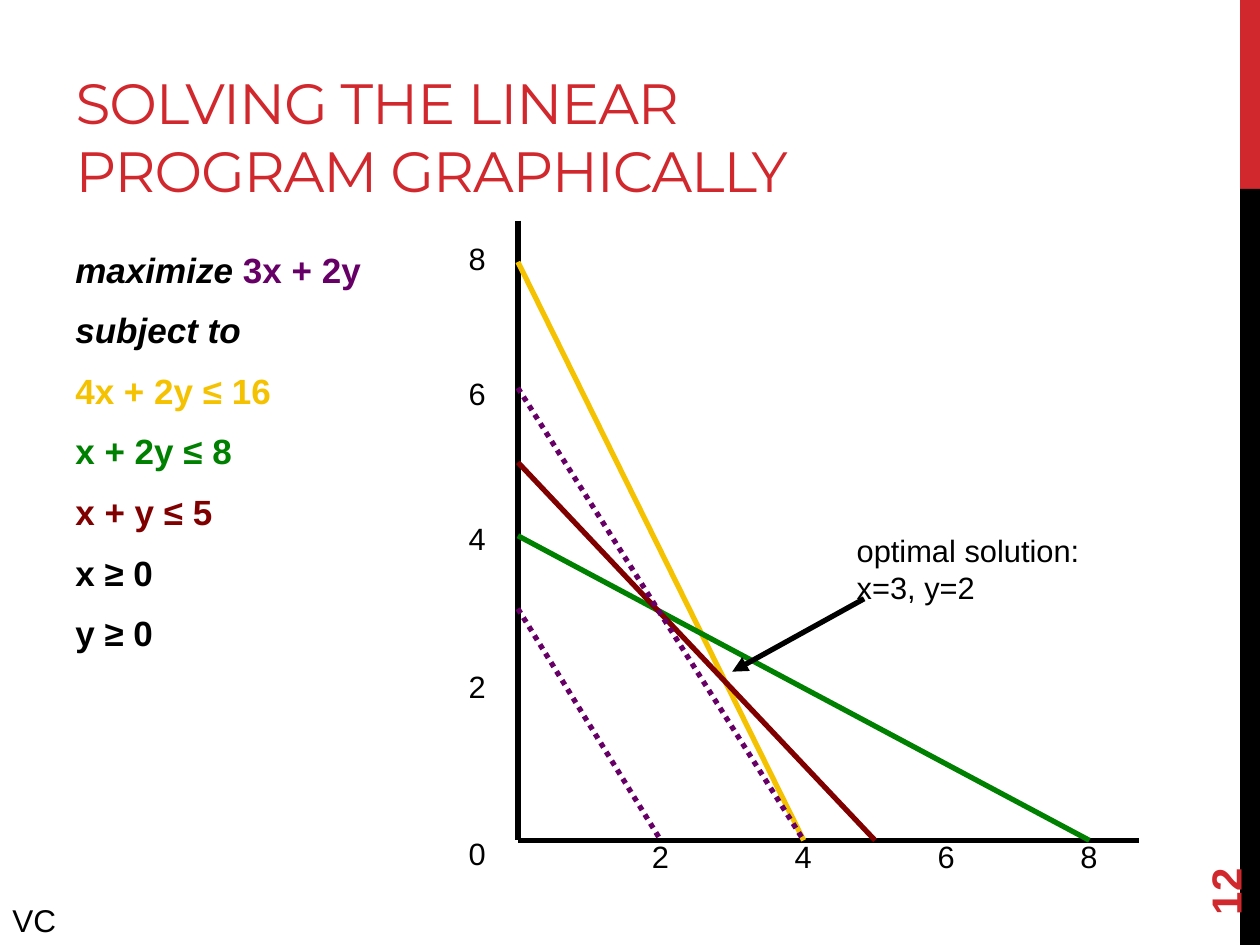
from dataclasses import dataclass

from lxml import etree
from pptx import Presentation
from pptx.dml.color import RGBColor
from pptx.enum.dml import MSO_LINE
from pptx.enum.shapes import MSO_CONNECTOR, MSO_SHAPE
from pptx.enum.text import MSO_ANCHOR, MSO_AUTO_SIZE, PP_ALIGN
from pptx.oxml.ns import qn
from pptx.util import Cm, Pt

LINE = MSO_CONNECTOR.STRAIGHT
RECT = MSO_SHAPE.RECTANGLE
DOTS = MSO_LINE.ROUND_DOT
LEFT = PP_ALIGN.LEFT
TOP, MID, LOW = MSO_ANCHOR.TOP, MSO_ANCHOR.MIDDLE, MSO_ANCHOR.BOTTOM
FIXED = MSO_AUTO_SIZE.NONE


@dataclass(frozen=True)
class Theme:
    red: str = "D1282E"
    black: str = "000000"
    gold: str = "F5C201"
    green: str = "008000"
    maroon: str = "800000"
    purple: str = "660066"
    head: str = "Montserrat"
    body: str = "Arial"
    title: float = 32.4
    number: float = 24
    model: float = 20
    foot: float = 18
    label: float = 17.6
    stroke: float = 3


THEME = Theme()

BASE_X, BASE_Y = 10.44, 16.94
UNIT = 1.44
MARKS = {0: BASE_Y, 3: 12.27, 4: 10.8, 5: 9.32, 6: 7.82, 8: 5.28}
Y_TOPS = {0: 16.71, 2: 13.34, 4: 10.36, 6: 7.42, 8: 4.7}

MODEL = [
    [("maximize ", THEME.black, True), ("3x + 2y", THEME.purple, False)],
    [("subject to", THEME.black, True)],
    [("4x + 2y ≤ 16", THEME.gold, False)],
    [("x + 2y ≤ 8", THEME.green, False)],
    [("x + y ≤ 5", THEME.maroon, False)],
    [("x ≥ 0", THEME.black, False)],
    [("y ≥ 0", THEME.black, False)],
]

PLOTS = [
    (8, 4, THEME.gold, None),
    (4, 8, THEME.green, None),
    (5, 5, THEME.maroon, None),
    (3, 2, THEME.purple, DOTS),
    (6, 4, THEME.purple, DOTS),
]


def add_run(para, text, size, color=THEME.black, face=THEME.body,
            bold=False, slant=False):
    run = para.add_run()
    run.text = text
    font = run.font
    font.name, font.size = face, Pt(size)
    font.bold, font.italic = bold, slant
    font.color.rgb = RGBColor.from_string(color)
    return run


def set_frame(shape, anchor=TOP, wrap=True):
    frame = shape.text_frame
    frame.auto_size = FIXED
    frame.word_wrap = wrap
    frame.vertical_anchor = anchor
    para = frame.paragraphs[0]
    para.alignment = LEFT
    return para


def add_box(slide, left, top, width, height):
    return slide.shapes.add_textbox(Cm(left), Cm(top), Cm(width), Cm(height))


def add_label(slide, text, left, top, width=0.86, height=1.02,
              size=THEME.label, wrap=False):
    box = add_box(slide, left, top, width, height)
    add_run(set_frame(box, wrap=wrap), text, size)


def add_bar(slide, top, height, color):
    bar = slide.shapes.add_shape(RECT, Cm(25), Cm(top), Cm(0.4), Cm(height))
    bar.shadow.inherit = False
    bar.fill.solid()
    bar.fill.fore_color.rgb = RGBColor.from_string(color)
    bar.line.fill.background()


def add_line(slide, start, end, color=THEME.black, dash=None, arrow=False):
    link = slide.shapes.add_connector(
        LINE, *(Cm(value) for value in (*start, *end)))
    link.line.width = Pt(THEME.stroke)
    link.line.color.rgb = RGBColor.from_string(color)
    if dash:
        link.line.dash_style = dash
    props = link._element.spPr
    if arrow:
        tail = etree.SubElement(props.find(qn("a:ln")), qn("a:tailEnd"))
        tail.set("type", "triangle")
    etree.SubElement(props, qn("a:effectLst"))


def set_title(slide, text):
    title = slide.shapes.title
    title.left, title.top = Cm(1.27), Cm(0.43)
    title.width, title.height = Cm(16.08), Cm(3.81)
    run = add_run(set_frame(title, LOW), text, THEME.title, THEME.red,
                  THEME.head)
    run._r.get_or_add_rPr().set("spc", "-60")


def add_model(slide):
    box = add_box(slide, 1.27, 4.88, 21.16, 12.14)
    para = set_frame(box)
    for index, parts in enumerate(MODEL):
        if index:
            para = box.text_frame.add_paragraph()
            para.alignment = LEFT
            para.space_before = Pt(4.6)
        para.space_after = Pt(6)
        for text, color, slant in parts:
            add_run(para, text, THEME.model, color, bold=True, slant=slant)


def add_graph(slide):
    base = (BASE_X, BASE_Y)
    add_line(slide, (BASE_X, 4.45), base)
    add_line(slide, base, (22.96, BASE_Y))
    for value, top in Y_TOPS.items():
        add_label(slide, str(value), 9.2, top)
    for value in range(2, 9, 2):
        add_label(slide, str(value), BASE_X + value * UNIT - 0.43, 16.76)
    for rise, reach, color, dash in PLOTS:
        add_line(slide, (BASE_X, MARKS[rise]),
                 (BASE_X + reach * UNIT, BASE_Y), color, dash)
    add_line(slide, (17.42, 12.07), (14.76, 13.54), arrow=True)
    add_label(slide, "optimal solution: x=3, y=2", 17.02, 10.59, 5.18, 1.75,
              wrap=True)


def add_number(slide, text):
    box = add_box(slide, 22.86, 16.36, 3.66, 1.02)
    box.rotation = 270
    add_run(set_frame(box, MID), text, THEME.number, THEME.red, bold=True)


def main():
    deck = Presentation()
    deck.slide_width, deck.slide_height = Cm(25.4), Cm(19.05)
    slide = deck.slides.add_slide(deck.slide_layouts[5])
    add_bar(slide, 0, 3.81, THEME.red)
    add_bar(slide, 3.81, 15.24, THEME.black)
    set_title(slide, "SOLVING THE LINEAR PROGRAM GRAPHICALLY")
    add_model(slide)
    add_graph(slide)
    add_label(slide, "VC", 0, 18.03, 1.93, size=THEME.foot, wrap=True)
    add_number(slide, "12")
    deck.save("out.pptx")


if __name__ == "__main__":
    main()
